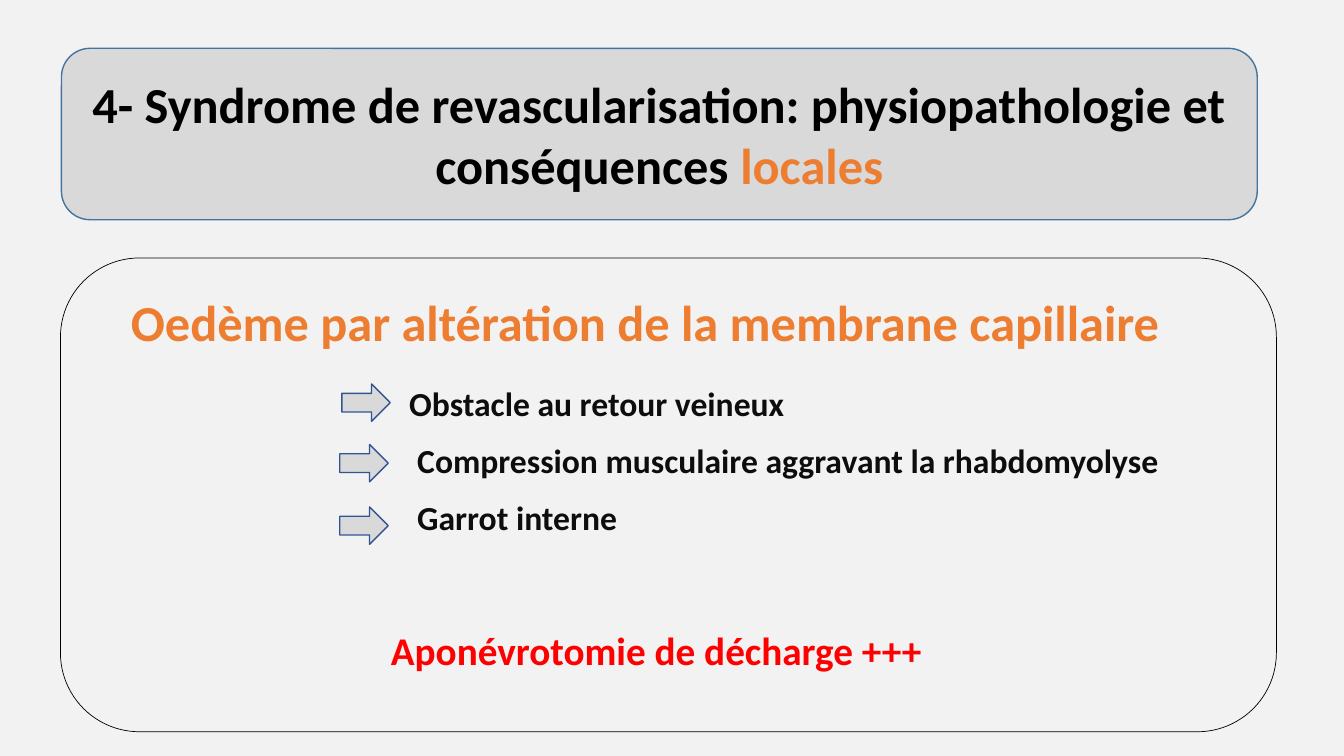
from pptx import Presentation
from pptx.dml.color import RGBColor
from pptx.enum.shapes import MSO_SHAPE
from pptx.enum.text import MSO_ANCHOR, PP_ALIGN
from pptx.util import Inches, Pt

PALE_GRAY = RGBColor(0xF2, 0xF2, 0xF2)
GRAY = RGBColor(0xD9, 0xD9, 0xD9)
BLACK = RGBColor(0x00, 0x00, 0x00)
NEAR_BLACK = RGBColor(0x0D, 0x0D, 0x0D)
ORANGE = RGBColor(0xED, 0x7D, 0x31)
RED = RGBColor(0xFF, 0x00, 0x00)
TITLE_BLUE = RGBColor(0x43, 0x73, 0x9E)
ARROW_BLUE = RGBColor(0x32, 0x54, 0x91)

presentation = Presentation()
presentation.slide_width = Inches(13.33)
presentation.slide_height = Inches(7.5)
slide = presentation.slides.add_slide(presentation.slide_layouts[6])


def add_panel(kind, left, top, width, height, fill, line=None, line_width=1):
    shape = slide.shapes.add_shape(
        kind, Inches(left), Inches(top), Inches(width), Inches(height))
    shape.shadow.inherit = False
    shape.fill.solid()
    shape.fill.fore_color.rgb = fill
    if line is None:
        shape.line.fill.background()
    else:
        shape.line.color.rgb = line
        shape.line.width = Pt(line_width)
    return shape


def add_run(paragraph, text, size, color):
    run = paragraph.add_run()
    run.text = text
    run.font.name = "Calibri"
    run.font.size = Pt(size)
    run.font.bold = True
    run.font.color.rgb = color


add_panel(MSO_SHAPE.RECTANGLE, 0, 0, 13.33, 7.5, PALE_GRAY)

title = add_panel(MSO_SHAPE.ROUNDED_RECTANGLE, 0.61, 0.48, 11.86, 1.7, GRAY, TITLE_BLUE)
title.text_frame.word_wrap = True
title.text_frame.vertical_anchor = MSO_ANCHOR.MIDDLE
title_paragraph = title.text_frame.paragraphs[0]
title_paragraph.alignment = PP_ALIGN.CENTER
add_run(title_paragraph,
        "4- Syndrome de revascularisation: physiopathologie et conséquences ", 36, BLACK)
add_run(title_paragraph, "locales", 36, ORANGE)

add_panel(MSO_SHAPE.ROUNDED_RECTANGLE, 0.6, 2.56, 12.06, 4.7, PALE_GRAY, BLACK, 0.5)

consequences = [
    ("Obstacle au retour veineux", 0),
    ("Compression musculaire aggravant la rhabdomyolyse", 0.08),
    ("Garrot interne", 0.08),
]
text_boxes = [
    (1.2, 2.84, 10.85, 0.71, 36, ORANGE,
     [("Oedème par altération de la membrane capillaire", 0)]),
    (3.96, 3.75, 8.02, 2.32, 24, NEAR_BLACK, consequences),
    (3.78, 6.16, 5.66, 0.57, 28, RED, [("Aponévrotomie de décharge +++", 0)]),
]
for left, top, width, height, size, color, lines in text_boxes:
    text_box = slide.shapes.add_textbox(
        Inches(left), Inches(top), Inches(width), Inches(height))
    text_frame = text_box.text_frame
    text_frame.word_wrap = True
    for index, (text, indent) in enumerate(lines):
        if index == 0:
            paragraph = text_frame.paragraphs[0]
        else:
            paragraph = text_frame.add_paragraph()
            paragraph.space_before = Pt(size / 2)
        if indent:
            paragraph._p.get_or_add_pPr().set("marL", str(Inches(indent)))
        add_run(paragraph, text, size, color)

for left, top in [(3.39, 3.81), (3.37, 4.41), (3.37, 5.03)]:
    add_panel(MSO_SHAPE.RIGHT_ARROW, left, top, 0.48, 0.37, GRAY, ARROW_BLUE)

presentation.save("out.pptx")
